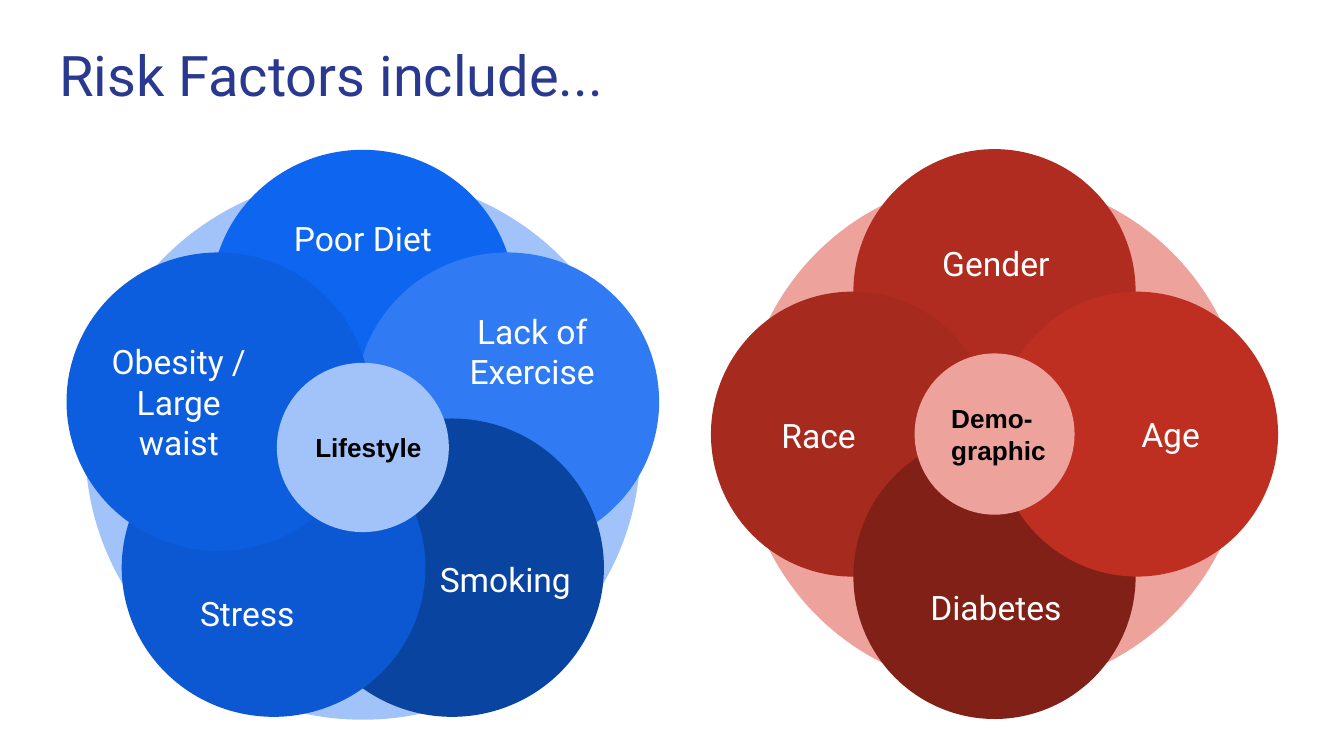
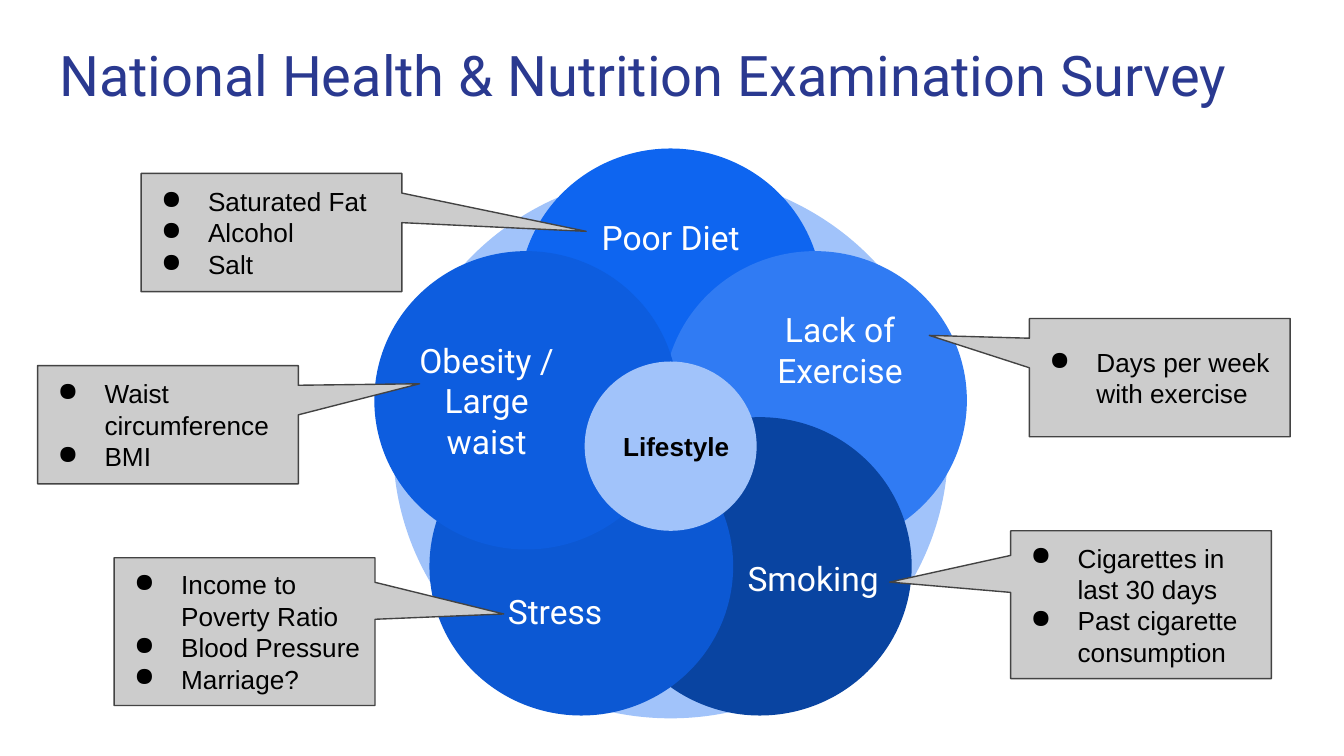
"""Build two slides on health risk factors: the factor flowers and the survey measures behind them."""
import math
from dataclasses import dataclass

import pptx
import pptx.dml.color
import pptx.enum.shapes
import pptx.enum.text
import pptx.oxml
import pptx.oxml.ns
import pptx.util
from lxml import etree

RGB = pptx.dml.color.RGBColor.from_string
PRESET = pptx.enum.shapes.MSO_SHAPE
ANCHOR = pptx.enum.text.MSO_ANCHOR
ALIGN = pptx.enum.text.PP_ALIGN


@dataclass(frozen=True)
class Theme:
    heading: str = "2A3990"
    petal_text: str = "FFFFFF"
    dark_text: str = "000000"
    lifestyle: str = "A1C3FA"
    demographic: str = "EDA29B"
    callout: str = "CCCCCC"
    callout_edge: str = "434343"
    display_font: str = "Roboto"
    detail_font: str = "Arial"
    heading_size: int = 30
    petal_size: int = 18
    detail_size: int = 14


theme = Theme()
deck = pptx.Presentation()
deck.slide_width = pptx.util.Inches(10)
deck.slide_height = pptx.util.Inches(5.625)
CELL = deck.slide_width / 100
INSET = CELL


def place(shapes, preset, centre, size, fill, edge=None):
    """Add a filled preset shape centred on a grid point."""
    left, top = (round((c - s / 2) * CELL) for c, s in zip(centre, size))
    shape = shapes.add_shape(preset, left, top, *(round(s * CELL) for s in size))
    shape.shadow.inherit = False
    shape.fill.solid()
    shape.fill.fore_color.rgb = RGB(fill)
    if edge:
        shape.line.color.rgb = RGB(edge)
        shape.line.width = pptx.util.Pt(0.75)
    else:
        shape.line.fill.background()
    return shape


def write(shape, text, font=theme.detail_font, size=theme.detail_size, color=theme.dark_text,
          bold=False, align=ALIGN.LEFT, anchor=ANCHOR.MIDDLE, right_inset=INSET, bullet=None):
    """Fill a shape with one paragraph per line of text."""
    frame = shape.text_frame
    frame.text = text
    frame.word_wrap = True
    frame.auto_size = pptx.enum.text.MSO_AUTO_SIZE.NONE
    frame.vertical_anchor = anchor
    frame.margin_left = frame.margin_top = frame.margin_bottom = round(INSET)
    frame.margin_right = round(right_inset)
    for paragraph in frame.paragraphs:
        paragraph.alignment = align
        run_font = paragraph.runs[0].font
        run_font.name, run_font.size, run_font.bold = font, pptx.util.Pt(size), bold
        run_font.color.rgb = RGB(color)
        if bullet:
            properties = paragraph._p.get_or_add_pPr()
            properties.set("marL", str(round(4 * CELL)))
            properties.set("indent", str(round(-3.5 * CELL)))
            bullet_color = etree.SubElement(properties, pptx.oxml.ns.qn("a:buClr"))
            etree.SubElement(bullet_color, pptx.oxml.ns.qn("a:srgbClr"), val=color)
            etree.SubElement(properties, pptx.oxml.ns.qn("a:buChar"), char=bullet)


lifestyle = dict(
    hub="Lifestyle", tint=theme.lifestyle, turn=1, reach=(11.3, 11.05),
    disc=(41.3, 40.5), petal=(22.6, 22.2), core=(12.8, 12.6), label=(13.9, 6.8),
    factors=[
        ("Poor Diet", "0E65F0", (0, -15.6)),
        ("Lack of Exercise", "307BF3", (12.6, -7.2)),
        ("Smoking", "0944A1", (10.6, 9.8)),
        ("Stress", "0C58D3", (-8.6, 12.3)),
        ("Obesity / Large waist", "0D5DDF", (-13.7, -3.4)),
    ])
demographic = dict(
    hub="Demo-\ngraphic", tint=theme.demographic, turn=-1, reach=(10.6, 10.6),
    disc=(37.6, 38), petal=(21, 21.2), core=(11.9, 12), label=(14.5, 6.9),
    factors=[
        ("Gender", "B02C20", (0.1, -12.7)),
        ("Race", "A72A1E", (-13.1, 0.1)),
        ("Diabetes", "802017", (0.1, 12.9)),
        ("Age", "BE2F22", (13.1, 0)),
    ])
measures = [
    ("Waist circumference\nBMI", (12.5, 31.6), 8.8, (0.965, -0.346)),
    ("Saturated Fat\nAlcohol\nSalt", (20.2, 17.3), 8.8, (1.207, -0.01)),
    ("Days per week with exercise", (86.3, 28.1), 8.8, (-0.884, -0.357)),
    ("Cigarettes in last 30 days\nPast cigarette consumption", (84.9, 45), 11, (-0.964, -0.153)),
    ("Income to Poverty Ratio\nBlood Pressure\nMarriage?", (18.2, 47), 11, (0.994, -0.119)),
]
pages = [
    ("Risk Factors include...", [(demographic, (74, 32.3)), (lifestyle, (27, 33.3))], []),
    ("National Health & Nutrition Examination Survey", [(lifestyle, (49.9, 33.2))], measures),
]

for heading, flowers, callouts in pages:
    slide = deck.slides.add_slide(deck.slide_layouts[5])
    title = slide.shapes.title
    title.left, title.top, title.width, title.height = (round(n * CELL) for n in (3.4, 2, 93.2, 6.6))
    write(title, heading, font=theme.display_font, size=theme.heading_size,
          color=theme.heading, anchor=ANCHOR.TOP)

    for flower, (x, y) in flowers:
        place(slide.shapes, PRESET.OVAL, (x, y), flower["disc"], flower["tint"])
        step = flower["turn"] * math.tau / len(flower["factors"])
        for index, (factor, shade, (dx, dy)) in enumerate(flower["factors"]):
            petal = slide.shapes.add_group_shape().shapes
            reach_x, reach_y = flower["reach"]
            centre = x + reach_x * math.sin(index * step), y - reach_y * math.cos(index * step)
            place(petal, PRESET.OVAL, centre, flower["petal"], shade)
            width, height = flower["label"]
            label = petal.add_textbox(*(round(n * CELL) for n in (
                x + dx - width / 2, y + dy - height / 2, width, height)))
            write(label, factor, font=theme.display_font, size=theme.petal_size,
                  color=theme.petal_text, align=ALIGN.CENTER)
        core = place(slide.shapes, PRESET.OVAL, (x, y), flower["core"], flower["tint"])
        write(core, flower["hub"], bold=True, right_inset=0)

    for measure, centre, height, tip in callouts:
        callout = place(slide.shapes, PRESET.RECTANGULAR_CALLOUT, centre, (19.4, height),
                        theme.callout, theme.callout_edge)
        callout.adjustments[0], callout.adjustments[1] = tip
        write(callout, measure, bullet="●")

deck.save("out.pptx")
